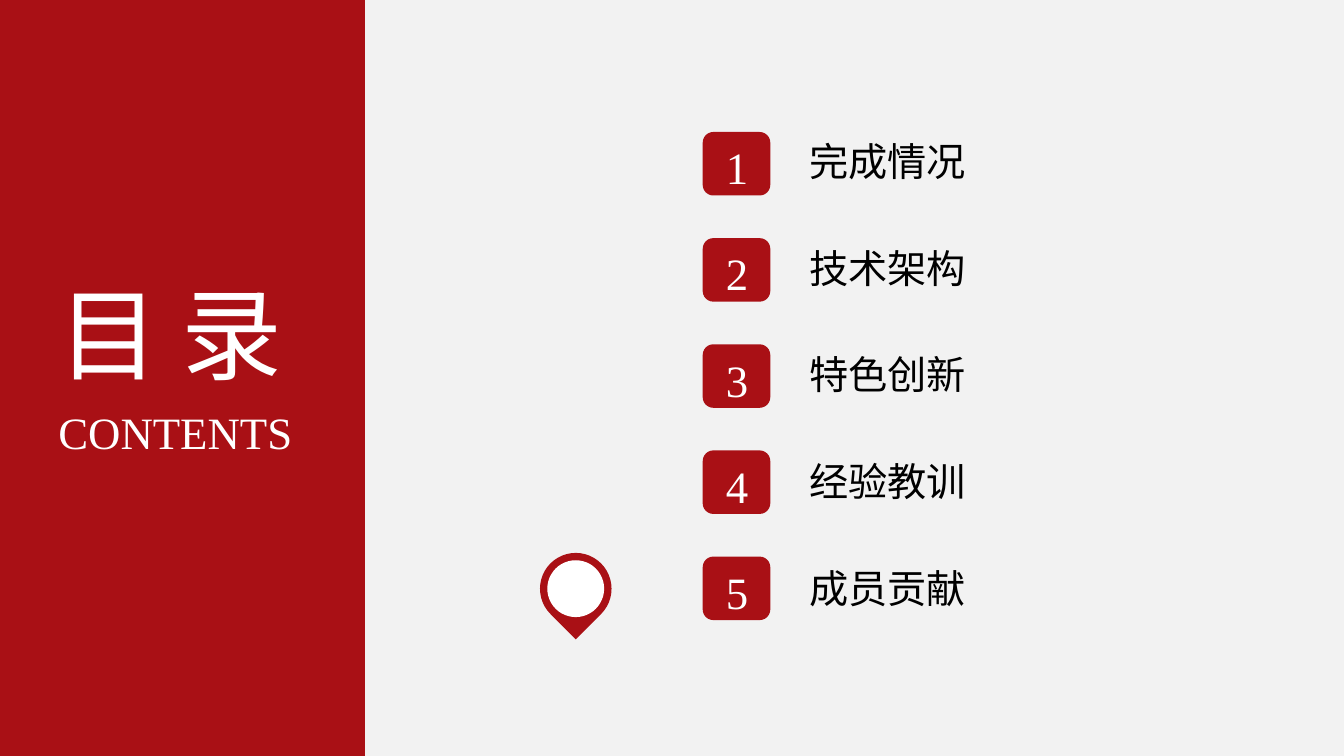
from pptx import Presentation
from pptx.dml.color import RGBColor
from pptx.enum.shapes import MSO_SHAPE
from pptx.enum.text import MSO_ANCHOR, PP_ALIGN
from pptx.util import Inches, Pt

RECTANGLE = MSO_SHAPE.RECTANGLE
ROUNDED = MSO_SHAPE.ROUNDED_RECTANGLE
TEARDROP = MSO_SHAPE.TEAR
OVAL = MSO_SHAPE.OVAL
TOP = MSO_ANCHOR.TOP
LEFT = PP_ALIGN.LEFT
JUSTIFY = PP_ALIGN.JUSTIFY

COLORS = {"red": "A91015", "white": "FFFFFF", "black": "000000", "paper": "F2F2F2"}
FONT = "Times New Roman"
WIDTH, HEIGHT = 13.33, 7.5

deck = Presentation()
deck.slide_width = Inches(WIDTH)
deck.slide_height = Inches(HEIGHT)
page = deck.slides.add_slide(deck.slide_layouts[6])
page.background.fill.solid()
page.background.fill.fore_color.rgb = RGBColor.from_string(COLORS["paper"])


def add_block(kind, left, top, width, height, color):
    block = page.shapes.add_shape(
        kind, Inches(left), Inches(top), Inches(width), Inches(height))
    block.shadow.inherit = False
    block.fill.solid()
    block.fill.fore_color.rgb = RGBColor.from_string(COLORS[color])
    block.line.fill.background()
    return block


def add_text(text, left, top, width, height, size, color, align=LEFT):
    box = page.shapes.add_textbox(
        Inches(left), Inches(top), Inches(width), Inches(height))
    frame = box.text_frame
    frame.word_wrap = True
    frame.vertical_anchor = TOP
    para = frame.paragraphs[0]
    para.alignment = align
    span = para.add_run()
    span.text = text
    span.font.name = FONT
    span.font.size = Pt(size)
    span.font.color.rgb = RGBColor.from_string(COLORS[color])


add_block(RECTANGLE, 0, 0, 3.62, HEIGHT, "red")
add_text("目 录", 0.48, 2.65, 2.66, 1.31, 72, "white", JUSTIFY)
add_text("CONTENTS", 0.48, 3.97, 2.66, 0.64, 32, "white", JUSTIFY)

TOPICS = ["完成情况", "技术架构", "特色创新", "经验教训", "成员贡献"]
FIRST_TOP = 1.31
BADGE_PITCH = 1.053
LABEL_PITCH = 1.06
for row, topic in enumerate(TOPICS):
    badge_top = FIRST_TOP + row * BADGE_PITCH
    add_block(ROUNDED, 6.97, badge_top, 0.67, 0.63, "red")
    add_text(str(row + 1), 7.1, badge_top + 0.03, 0.41, 0.64, 32, "white")
    add_text(topic, 7.93, FIRST_TOP + row * LABEL_PITCH, 2.07, 0.57, 28, "black")

PIN_X, PIN_Y = 5.71, 5.84
PIN_SIZE, HOLE_SIZE = 0.71, 0.55
pin = add_block(TEARDROP, PIN_X - PIN_SIZE / 2, PIN_Y - PIN_SIZE / 2,
                PIN_SIZE, PIN_SIZE, "red")
pin.rotation = 135
hole = add_block(OVAL, PIN_X - HOLE_SIZE / 2, PIN_Y - HOLE_SIZE / 2,
                 HOLE_SIZE, HOLE_SIZE, "white")
hole.line.color.rgb = RGBColor.from_string(COLORS["white"])
hole.line.width = Pt(1)

deck.save("out.pptx")
